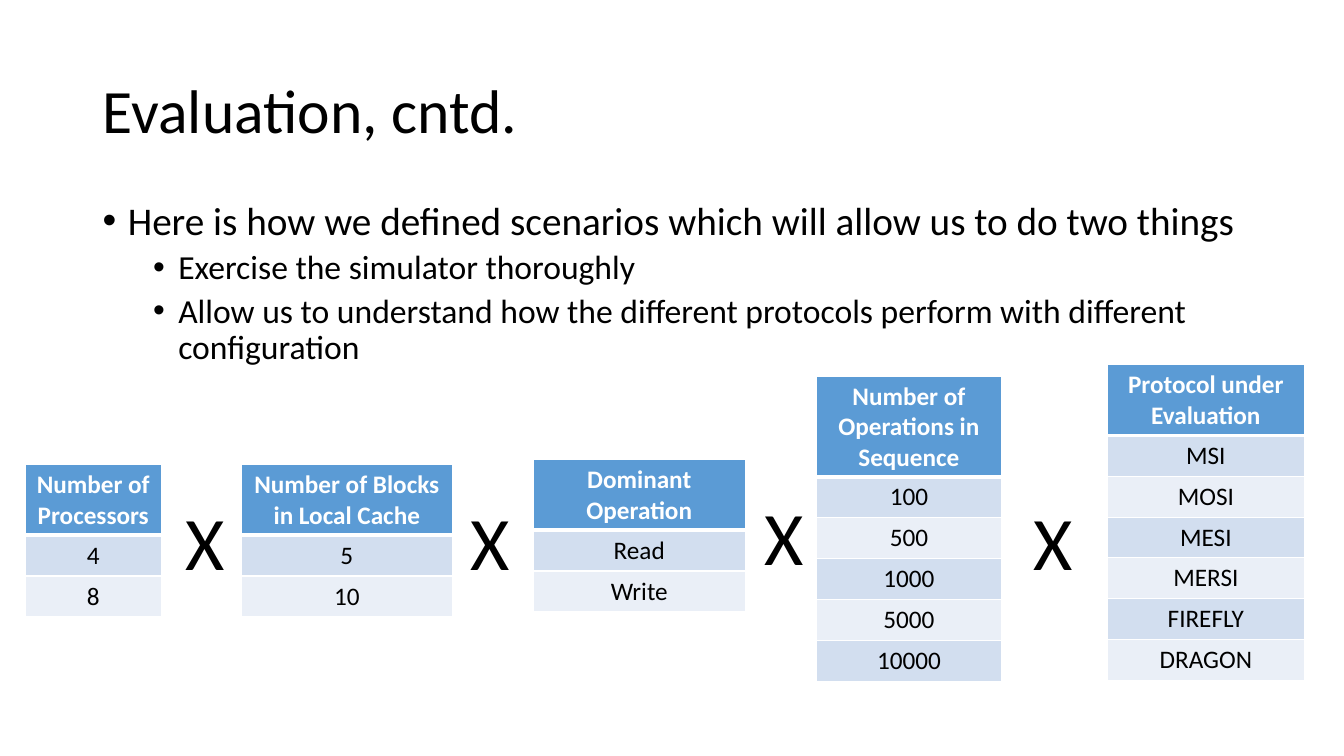
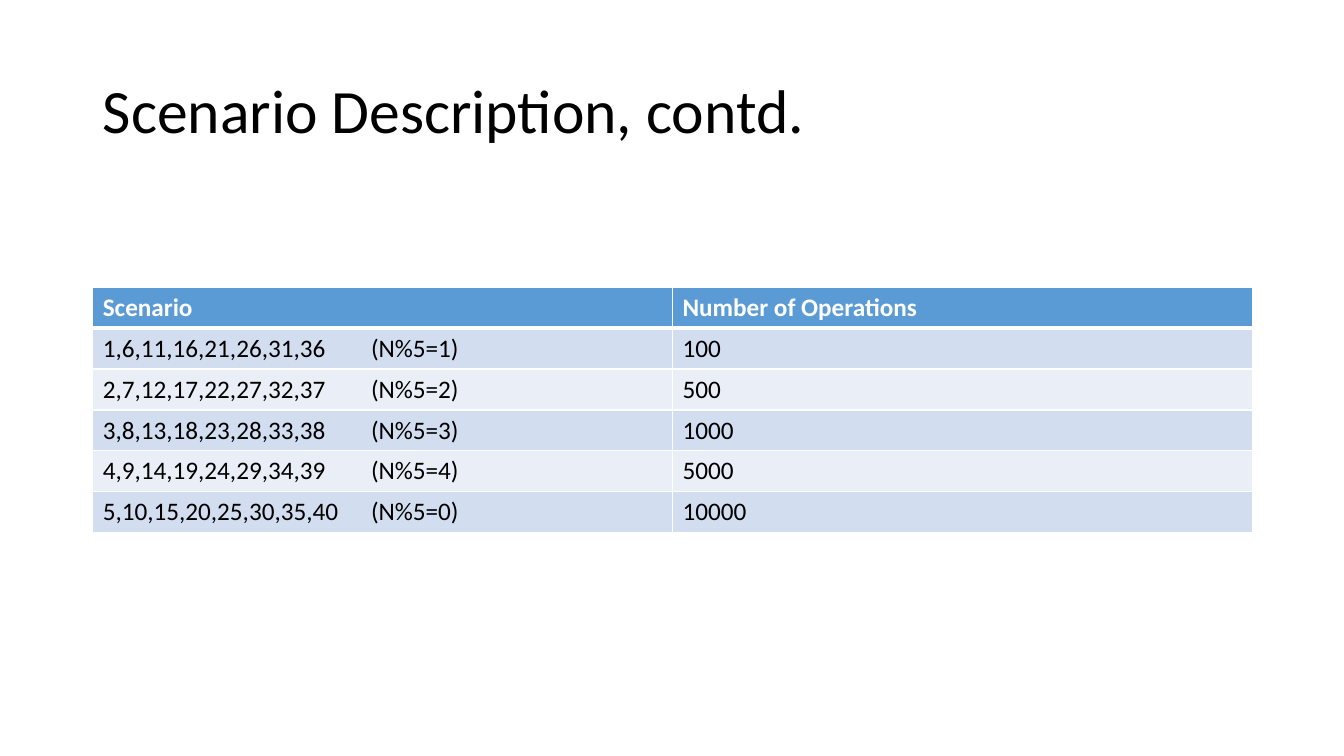
from lxml import etree
from pptx import Presentation
from pptx import util as u
from pptx.dml.color import RGBColor
from pptx.enum import text
from pptx.oxml.ns import qn

PX = 9144
WIDE, HIGH = 1333, 750
INK = {"text": "000000", "light": "FFFFFF", "head": "5B9BD5",
       "odd": "D2DEEF", "even": "EAEFF7"}
LEFT, MID = text.PP_ALIGN.LEFT, text.PP_ALIGN.CENTER


def px(n):
    return u.Emu(round(n * PX))


def put(item, **vals):
    for key, val in vals.items():
        setattr(item, key, val)


def place(item, box):
    put(item, **dict(zip(("left", "top", "width", "height"), map(px, box))))


class Deck:
    font = "Calibri"
    title_box = (92, 40, 1150, 145)

    def __init__(self):
        self.file = Presentation()
        put(self.file, slide_width=px(WIDE), slide_height=px(HIGH))

    def page(self, title):
        self.slide = self.file.slides.add_slide(self.file.slide_layouts[5])
        head = self.slide.shapes.title
        place(head, self.title_box)
        frame = head.text_frame
        put(frame, word_wrap=True, auto_size=text.MSO_AUTO_SIZE.NONE,
            vertical_anchor=text.MSO_ANCHOR.MIDDLE)
        self.label(frame.paragraphs[0], title, 44, line_spacing=0.9)

    def label(self, para, words, size, ink="text", bold=False, **look):
        put(para, **{"alignment": LEFT, **look})
        run = para.add_run()
        run.text = words
        put(run.font, name=self.font, size=u.Pt(size), bold=bold)
        run.font.color.rgb = RGBColor.from_string(INK[ink])

    def frame(self, box, wrap):
        frame = self.slide.shapes.add_textbox(*map(px, box)).text_frame
        frame.word_wrap = wrap
        return frame

    def list(self, box, items):
        frame = self.frame(box, True)
        for i, (level, words) in enumerate(items):
            para = frame.add_paragraph() if i else frame.paragraphs[0]
            self.label(para, words, 28 - 4 * level, level=level,
                       line_spacing=0.9, space_before=u.Pt(10 - 5 * level))
            prop = para._p.get_or_add_pPr()
            prop.set("marL", str(px(25 + 50 * level)))
            prop.set("indent", str(px(-25)))
            etree.SubElement(prop, qn("a:buFont"), typeface="Arial")
            etree.SubElement(prop, qn("a:buChar"), char="•")

    def times(self, left, top):
        para = self.frame((left, top, 59, 101), False).paragraphs[0]
        self.label(para, "X", 54, alignment=MID)

    def edge(self, cell, row):
        prop = cell._tc.get_or_add_tcPr()
        wide = {"T": 3 if row == 1 else 1, "B": 3 if row == 0 else 1}
        for i, side in enumerate("LRTB"):
            line = etree.Element(qn("a:ln" + side), w=str(u.Pt(wide.get(side, 1))))
            fill = etree.SubElement(line, qn("a:solidFill"))
            etree.SubElement(fill, qn("a:srgbClr"), val=INK["light"])
            prop.insert(i, line)

    def table(self, box, rows, lines=1, align=MID, tab=None):
        grid = self.slide.shapes.add_table(len(rows), len(rows[0]), *map(px, box)).table
        top = 10 + 30 * lines
        step = (box[3] - top) / (len(rows) - 1)
        for r, row in enumerate(rows):
            grid.rows[r].height = px(step if r else top)
            for c, words in enumerate(row):
                cell = grid.cell(r, c)
                cell.fill.solid()
                tone = ("odd" if r % 2 else "even") if r else "head"
                cell.fill.fore_color.rgb = RGBColor.from_string(INK[tone])
                self.edge(cell, r)
                para = cell.text_frame.paragraphs[0]
                self.label(para, words, 18, "text" if r else "light", not r,
                           alignment=align)
                if tab and "\t" in words:
                    stops = etree.SubElement(para._p.get_or_add_pPr(), qn("a:tabLst"))
                    etree.SubElement(stops, qn("a:tab"), pos=str(px(tab)), algn="l")


def main():
    counts = ["100", "500", "1000", "5000", "10000"]
    deck = Deck()

    deck.page("Evaluation, cntd.")
    deck.list((92, 195, 1150, 481), [
        (0, "Here is how we defined scenarios which will allow us to do two things"),
        (1, "Exercise the simulator thoroughly"),
        (1, "Allow us to understand how the different protocols perform "
            "with different configuration"),
    ])
    factors = [
        ((25, 461, 135, 151), 2, "Number of Processors", ["4", "8"]),
        ((239, 461, 210, 151), 2, "Number of Blocks in Local Cache", ["5", "10"]),
        ((529, 456, 210, 151), 2, "Dominant Operation", ["Read", "Write"]),
        ((810, 373, 183, 303), 3, "Number of Operations in Sequence", counts),
        ((1098, 362, 196, 313), 2, "Protocol under Evaluation",
         ["MSI", "MOSI", "MESI", "MERSI", "FIREFLY", "DRAGON"]),
    ]
    for box, lines, head, vals in factors:
        deck.table(box, [[val] for val in [head, *vals]], lines)
    for left, top in [(174, 486), (457, 486), (748, 481), (1015, 486)]:
        deck.times(left, top)

    deck.page("Scenario Description, contd.")
    rows = [["Scenario", "Number of Operations"]]
    for n, count in enumerate(counts, 1):
        runs = ",".join(map(str, range(n, 41, 5)))
        rows.append([f"{runs}\t(N%5={n % 5})", count])
    deck.table((92, 285, 1150, 243), rows, align=LEFT, tab=266)

    deck.file.save("out.pptx")


if __name__ == "__main__":
    main()
